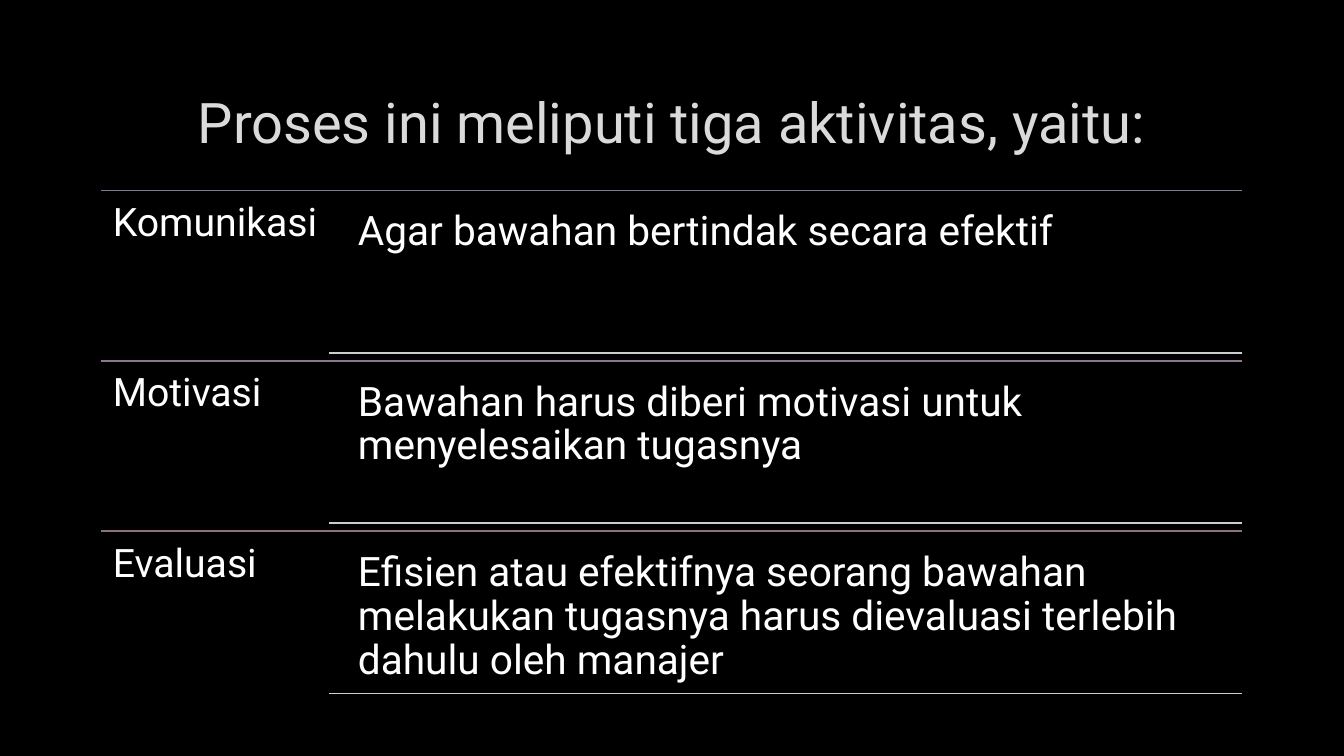
import pptx
import pptx.util
import pptx.dml.color
import pptx.enum.shapes
import pptx.enum.text
import pptx.oxml.ns
import lxml.etree

Inches = pptx.util.Inches
Pt = pptx.util.Pt
RGBColor = pptx.dml.color.RGBColor

BLACK = RGBColor(0x00, 0x00, 0x00)
WHITE = RGBColor(0xFF, 0xFF, 0xFF)
TITLE_GRAY = RGBColor(0xDA, 0xDA, 0xDA)
PALE_RULE = RGBColor(0xCC, 0xCC, 0xD2)
FONT = "Roboto"

LEFT, RIGHT, TOP = 1, 12.32, 1.89
ROW_HEIGHT = 1.69
LABEL_WIDTH = 2.26
DETAIL_LEFT, DETAIL_OFFSET, DETAIL_HEIGHT = 3.43, 0.08, 1.53

ACTIVITIES = [
    ("Komunikasi", "Agar bawahan bertindak secara efektif",
     RGBColor(0x7C, 0x7D, 0x92)),
    ("Motivasi", "Bawahan harus diberi motivasi untuk menyelesaikan tugasnya",
     RGBColor(0x8C, 0x77, 0x8E)),
    ("Evaluasi", "Efisien atau efektifnya seorang bawahan melakukan tugasnya "
     "harus dievaluasi terlebih dahulu oleh manajer",
     RGBColor(0x89, 0x73, 0x76)),
]


def add_rule(left, top, color):
    """Draw a horizontal line from left to the right edge of the list."""
    rule = slide.shapes.add_connector(
        pptx.enum.shapes.MSO_CONNECTOR.STRAIGHT,
        Inches(left), Inches(top), Inches(RIGHT), Inches(top))
    rule.line.color.rgb = color
    rule.line.width = Pt(1.25)
    lxml.etree.SubElement(rule._element.spPr, pptx.oxml.ns.qn("a:effectLst"))


def add_text(text, left, top, width, height, size):
    box = slide.shapes.add_textbox(
        Inches(left), Inches(top), Inches(width), Inches(height))
    frame = box.text_frame
    frame.word_wrap = True
    frame.margin_left = frame.margin_top = frame.margin_bottom = Inches(0.12)
    # The narrow right margin keeps the longest label on one line.
    frame.margin_right = Inches(0.04)
    frame.text = text
    para = frame.paragraphs[0]
    para.line_spacing = 0.9
    font = para.runs[0].font
    font.name = FONT
    font.size = Pt(size)
    font.color.rgb = WHITE


deck = pptx.Presentation()
deck.slide_width = Inches(13.33)
deck.slide_height = Inches(7.5)
slide = deck.slides.add_slide(deck.slide_layouts.get_by_name("Title Only"))
slide.background.fill.solid()
slide.background.fill.fore_color.rgb = BLACK

title = slide.shapes.title
title.left, title.top = Inches(LEFT), Inches(0.67)
title.width, title.height = Inches(RIGHT - LEFT), Inches(1.06)
title.text_frame.text = "Proses ini meliputi tiga aktivitas, yaitu:"
title.text_frame.vertical_anchor = pptx.enum.text.MSO_ANCHOR.MIDDLE
title_para = title.text_frame.paragraphs[0]
title_para.alignment = pptx.enum.text.PP_ALIGN.CENTER
title_font = title_para.runs[0].font
title_font.name = FONT
title_font.size = Pt(40)
title_font.color.rgb = TITLE_GRAY

for index, (label, detail, rule_color) in enumerate(ACTIVITIES):
    row_top = TOP + index * ROW_HEIGHT
    detail_top = row_top + DETAIL_OFFSET
    add_rule(LEFT, row_top, rule_color)
    add_text(label, LEFT, row_top, LABEL_WIDTH, ROW_HEIGHT, 28)
    add_text(detail, DETAIL_LEFT, detail_top,
             RIGHT - DETAIL_LEFT, DETAIL_HEIGHT, 29)
    add_rule(LEFT + LABEL_WIDTH, detail_top + DETAIL_HEIGHT, PALE_RULE)

deck.save("out.pptx")
